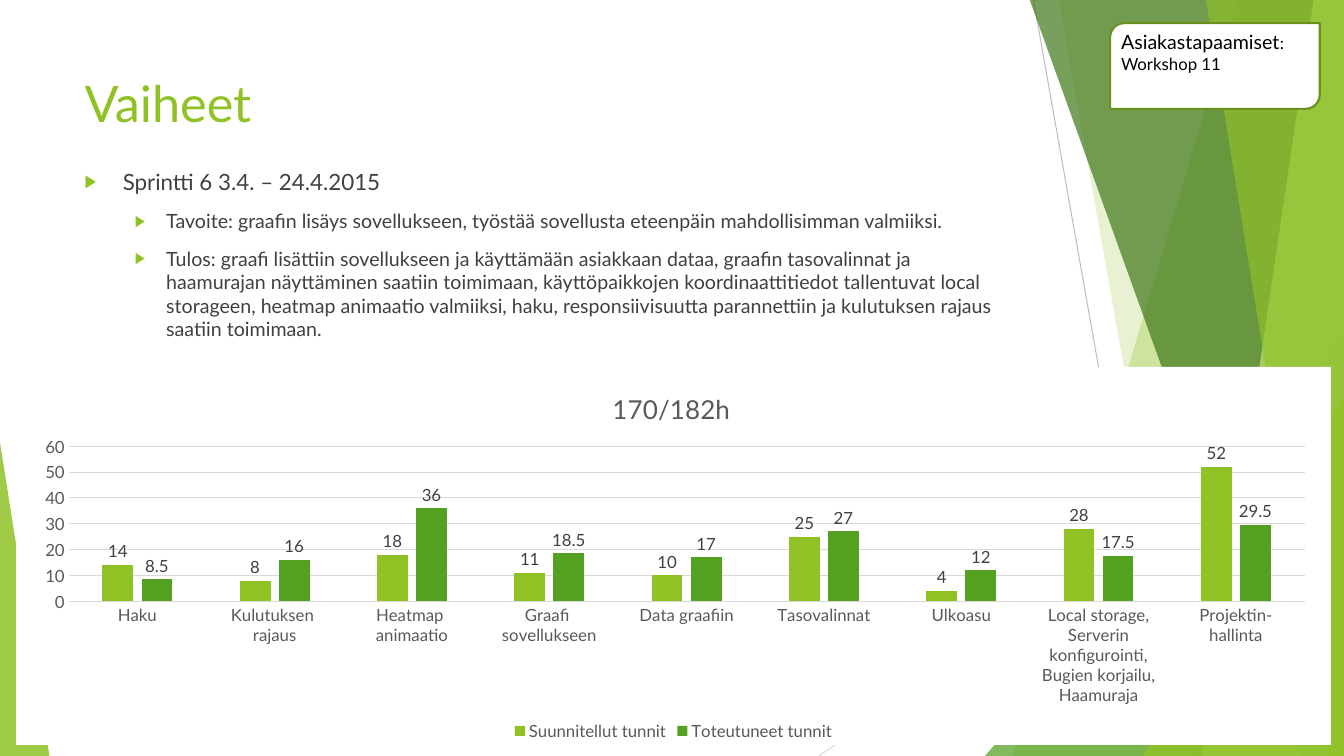
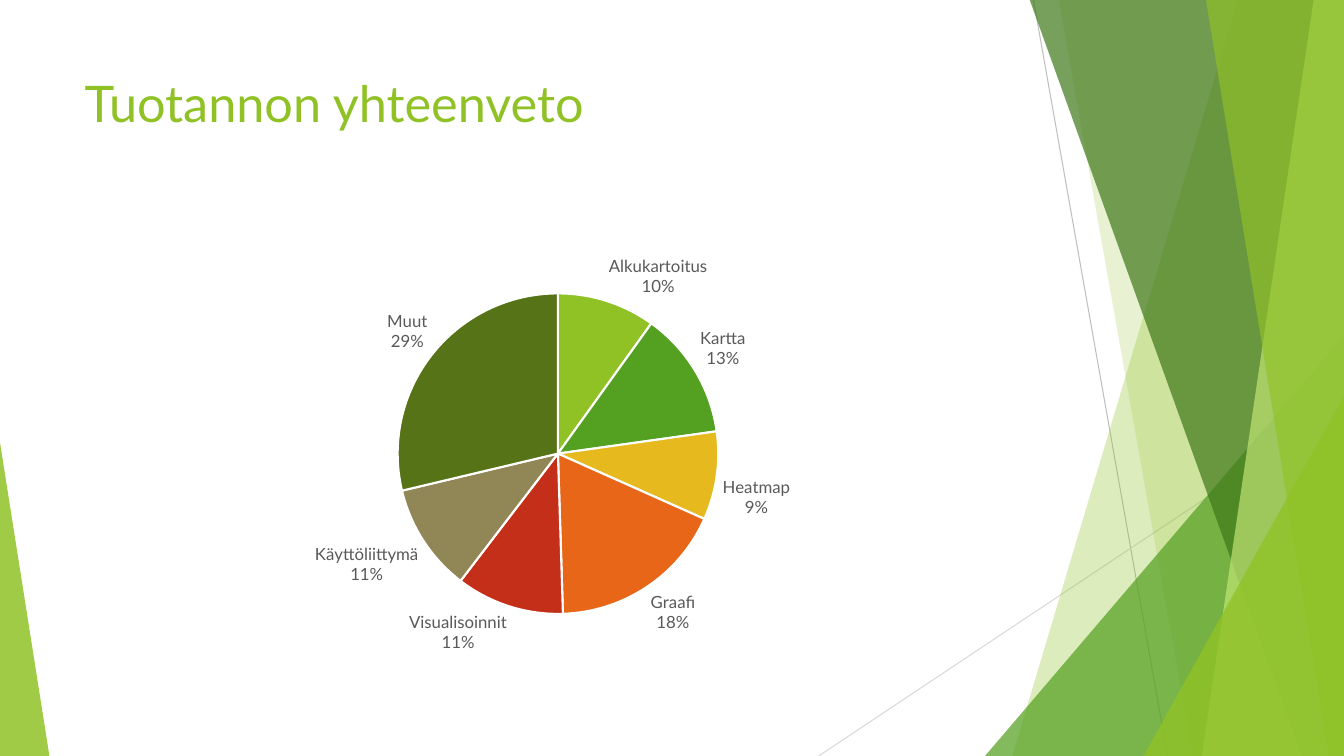
"""Build the sprint phase and production summary slides."""
from lxml import etree
from pptx import Presentation
from pptx import util as u
from pptx.chart import data as cdata
from pptx.dml.color import RGBColor
from pptx.enum import chart as ch, shapes, text
from pptx.oxml.ns import qn

FONT = "Lato"
LIME, GREEN, DARK, PALE = "90C226", "54A021", "3F7819", "C0E474"
WHITE, BLACK, INK, GREY, RULE = "FFFFFF", "000000", "404040", "595959", "D9D9D9"
WIDE, HIGH, TOP = 13.33, 7.5, -0.01

LINES = [((10.25, 0), (11.58, HIGH), "BFBFBF"), ((WIDE, 4.03), (8.12, HIGH), RULE)]
BANDS = [
    ("band", (12.28, 10.04), LIME, 30),
    ("band", (10.5, 11.83), LIME, 20),
    ("wedge", (9.77, 3.33, 3.56, 1), GREEN, 72),
    ("band", (10.21, 12.91), DARK, 70),
    ("band", (13.03, 11.92), PALE, 70),
    ("band", (11.96, 13.18), LIME, 65),
    ("wedge", (11.34, 3.93, 1.99, 1), LIME, 80),
    ("wedge", (0, 4.39, 0.49, 0), LIME, 85),
]
LEVELS = [dict(left=0.38, hang=0.38, size=16), dict(left=0.81, hang=0.31, size=14)]
POINTS = [
    (0, "Sprintti 6 3.4. – 24.4.2015"),
    (1, "Tavoite: graafin lisäys sovellukseen, työstää sovellusta eteenpäin "
        "mahdollisimman valmiiksi."),
    (1, "Tulos: graafi lisättiin sovellukseen ja käyttämään asiakkaan dataa, graafin "
        "tasovalinnat ja haamurajan näyttäminen saatiin toimimaan, käyttöpaikkojen "
        "koordinaattitiedot tallentuvat local storageen, heatmap animaatio valmiiksi, "
        "haku, responsiivisuutta parannettiin ja kulutuksen rajaus saatiin toimimaan."),
]
NOTE = [[("Asiakastapaamiset", 14), (":", 12)], [("Workshop 11", 12)]]
TASKS = ["Haku", "Kulutuksen \nrajaus", "Heatmap \nanimaatio", "Graafi \nsovellukseen",
         "Data graafiin", "Tasovalinnat", "Ulkoasu",
         "Local storage,\nServerin konfigurointi,\nBugien korjailu,\nHaamuraja",
         "Projektin-\nhallinta"]
HOURS = [
    ("Suunnitellut tunnit", [14, 8, 18, 11, 10, 25, 4, 28, 52], LIME),
    ("Toteutuneet tunnit", [8.5, 16, 36, 18.5, 17, 27, 12, 17.5, 29.5], GREEN),
]
SHARES = [("Alkukartoitus", 10, LIME), ("Kartta", 13, GREEN), ("Heatmap", 9, "E6B91E"),
          ("Graafi", 18, "E76618"), ("Visualisoinnit", 11, "C42F1A"),
          ("Käyttöliittymä", 11, "918655"), ("Muut", 29, "567417")]


def rgb(code):
    """Turn a hex string into a colour."""
    return RGBColor.from_string(code)


def inch(*sizes):
    """Convert numbers to lengths."""
    return [u.Inches(size) for size in sizes]


def put(item, **values):
    """Set several attributes on one object."""
    for name, value in values.items():
        setattr(item, name, value)


def style(font, size, color):
    """Give a font its face, size and colour."""
    put(font, name=FONT, size=u.Pt(size))
    font.color.rgb = rgb(color)


def node(parent, tag, **attrs):
    """Append an XML element."""
    return etree.SubElement(parent, qn(tag), attrs)


def paint(shape, color, alpha=100, edge=None):
    """Fill a shape and set its outline."""
    shape.shadow.inherit = False
    shape.fill.solid()
    shape.fill.fore_color.rgb = rgb(color)
    if alpha < 100:
        tint = shape.fill._xPr.find(".//" + qn("a:srgbClr"))
        node(tint, "a:alpha", val=str(alpha * 1000))
    if edge:
        shape.line.color.rgb = rgb(edge)
        shape.line.width = u.Pt(1.5)
    else:
        shape.line.fill.background()


def decor(slide):
    """Draw the shared lines and translucent bands."""
    for start, end, color in LINES:
        line = slide.shapes.add_connector(
            shapes.MSO_CONNECTOR.STRAIGHT, *inch(*start, *end))
        line.line.color.rgb = rgb(color)
        line.line.width = u.Pt(0.75)
        node(line._element.spPr, "a:effectLst")
    for kind, place, color, alpha in BANDS:
        if kind == "band":
            upper, lower = place
            path = slide.shapes.build_freeform(*inch(upper, TOP))
            path.add_line_segments(
                [inch(*spot) for spot in [(WIDE, TOP), (WIDE, HIGH), (lower, HIGH)]])
            shape = path.convert_to_shape()
        else:
            left, top, width, peak = place
            shape = slide.shapes.add_shape(
                shapes.MSO_SHAPE.ISOSCELES_TRIANGLE, *inch(left, top, width, HIGH - top))
            shape.adjustments[0] = peak
        paint(shape, color, alpha)


def box(slide, *place):
    """Add a wrapping text frame anchored at the top."""
    frame = slide.shapes.add_textbox(*inch(*place)).text_frame
    put(frame, word_wrap=True, vertical_anchor=text.MSO_ANCHOR.TOP)
    return frame


def write(para, words, size, color):
    """Add one styled run."""
    run = para.add_run()
    run.text = words
    style(run.font, size, color)


def page(deck, title):
    """Start a slide with its decoration and title."""
    slide = deck.slides.add_slide(deck.slide_layouts[6])
    decor(slide)
    write(box(slide, 0.74, 0.67, 9.4, 1.44).paragraphs[0], title, 36, LIME)
    return slide


def paras(frame, items):
    """Pair each item with a paragraph."""
    for index, item in enumerate(items):
        yield index, frame.add_paragraph() if index else frame.paragraphs[0], item


def bullets(slide):
    """Write the bulleted sprint summary."""
    for index, para, (level, words) in paras(box(slide, 0.74, 1.62, 9.4, 4.24), POINTS):
        form = LEVELS[level]
        props = para._p.get_or_add_pPr()
        props.set("marL", str(u.Inches(form["left"])))
        props.set("indent", str(-u.Inches(form["hang"])))
        para.level = level
        if index:
            para.space_before = u.Pt(10)
        node(node(props, "a:buClr"), "a:srgbClr", val=LIME)
        node(props, "a:buSzPct", val="80000")
        node(props, "a:buFont", typeface="Arial")
        node(props, "a:buChar", char="▶")
        write(para, words, form["size"], INK)


def arrange(parent, index, **spots):
    """Place a chart part by fractions of the chart."""
    for old in parent.findall(qn("c:layout")):
        parent.remove(old)
    layout = etree.Element(qn("c:layout"))
    parent.insert(index, layout)
    manual = node(layout, "c:manualLayout")
    if "w" in spots:
        node(manual, "c:layoutTarget", val="inner")
    for name in "xy":
        node(manual, f"c:{name}Mode", val="edge")
    for name, value in spots.items():
        node(manual, "c:" + name, val=str(value))


def graph(slide, kind, place, cats, rows, **spots):
    """Add a chart with a fixed plot area."""
    data = cdata.CategoryChartData()
    data.categories = cats
    for name, values in rows:
        data.add_series(name, values)
    chart = slide.shapes.add_chart(kind, *inch(*place), data).chart
    style(chart.font, 10, BLACK)
    arrange(chart._chartSpace.find(".//" + qn("c:plotArea")), 0, **spots)
    return chart


def label(series, color, **shows):
    """Show labels outside the data points."""
    labels = series.data_labels
    put(labels, position=ch.XL_LABEL_POSITION.OUTSIDE_END, **shows)
    style(labels.font, 12, color)
    return labels


def columns(slide):
    """Add the planned and actual hours chart."""
    chart = graph(slide, ch.XL_CHART_TYPE.COLUMN_CLUSTERED, (0.16, 3.64, 13.04, 3.75),
                  TASKS, [row[:2] for row in HOURS], x=0.04, y=0.21, w=0.94, h=0.41)
    back = etree.Element(qn("c:spPr"))
    node(node(back, "a:solidFill"), "a:srgbClr", val=WHITE)
    node(node(back, "a:ln"), "a:noFill")
    chart._chartSpace.find(qn("c:chart")).addnext(back)
    chart.has_title = True
    write(chart.chart_title.text_frame.paragraphs[0], "170/182h", 18.6, GREY)
    chart.chart_title.text_frame.paragraphs[0].runs[0].font.bold = False
    arrange(chart.chart_title._element, 1, x=0.45, y=0.05)
    chart.has_legend = True
    put(chart.legend, position=ch.XL_LEGEND_POSITION.BOTTOM, include_in_layout=False)
    style(chart.legend.font, 12, GREY)
    for axis in (chart.category_axis, chart.value_axis):
        put(axis, major_tick_mark=ch.XL_TICK_MARK.NONE, minor_tick_mark=ch.XL_TICK_MARK.NONE)
        style(axis.tick_labels.font, 12, GREY)
    put(chart.value_axis, minimum_scale=0, maximum_scale=60, major_unit=10)
    chart.value_axis.format.line.fill.background()
    for item in (chart.category_axis, chart.value_axis.major_gridlines):
        item.format.line.color.rgb = rgb(RULE)
        item.format.line.width = u.Pt(0.75)
    plot = chart.plots[0]
    put(plot, gap_width=219, overlap=-27, vary_by_categories=False)
    for series, (_, _, color) in zip(plot.series, HOURS):
        series.format.fill.solid()
        series.format.fill.fore_color.rgb = rgb(color)
        label(series, INK, show_value=True)


def callout(slide):
    """Add the customer meetings note."""
    card = slide.shapes.add_shape(
        shapes.MSO_SHAPE.ROUND_2_DIAG_RECTANGLE, *inch(11.01, 0.23, 2.08, 0.85))
    paint(card, WHITE, edge="6B901C")
    for _, para, runs in paras(box(slide, 11.02, 0.25, 2.22, 0.54), NOTE):
        for words, size in runs:
            write(para, words, size, BLACK)


def pie(slide):
    """Add the production share chart."""
    names, values, colors = zip(*SHARES)
    chart = graph(slide, ch.XL_CHART_TYPE.PIE, (0.74, 2.36, 9.4, 4.24),
                  names, [("Series 1", values)], x=0.34, y=0.13, w=0.34, h=0.75)
    put(chart, has_title=False, has_legend=False)
    chart.plots[0].vary_by_categories = True
    series = chart.plots[0].series[0]
    for index, color in enumerate(colors):
        form = series.points[index].format
        form.fill.solid()
        form.fill.fore_color.rgb = rgb(color)
        form.line.color.rgb = rgb(WHITE)
        form.line.width = u.Pt(1.5)
    labels = label(series, GREY, show_value=False, show_category_name=True,
                   show_percentage=True, number_format="0%", number_format_is_linked=False)
    gap = etree.Element(qn("c:separator"))
    gap.text = "\n"
    labels._element.find(qn("c:showBubbleSize")).addnext(gap)


def main():
    """Build and save both slides."""
    deck = Presentation()
    put(deck, slide_width=u.Inches(WIDE), slide_height=u.Inches(HIGH))
    phase = page(deck, "Vaiheet")
    for part in (bullets, columns, callout):
        part(phase)
    pie(page(deck, "Tuotannon yhteenveto"))
    deck.save("out.pptx")


if __name__ == "__main__":
    main()
